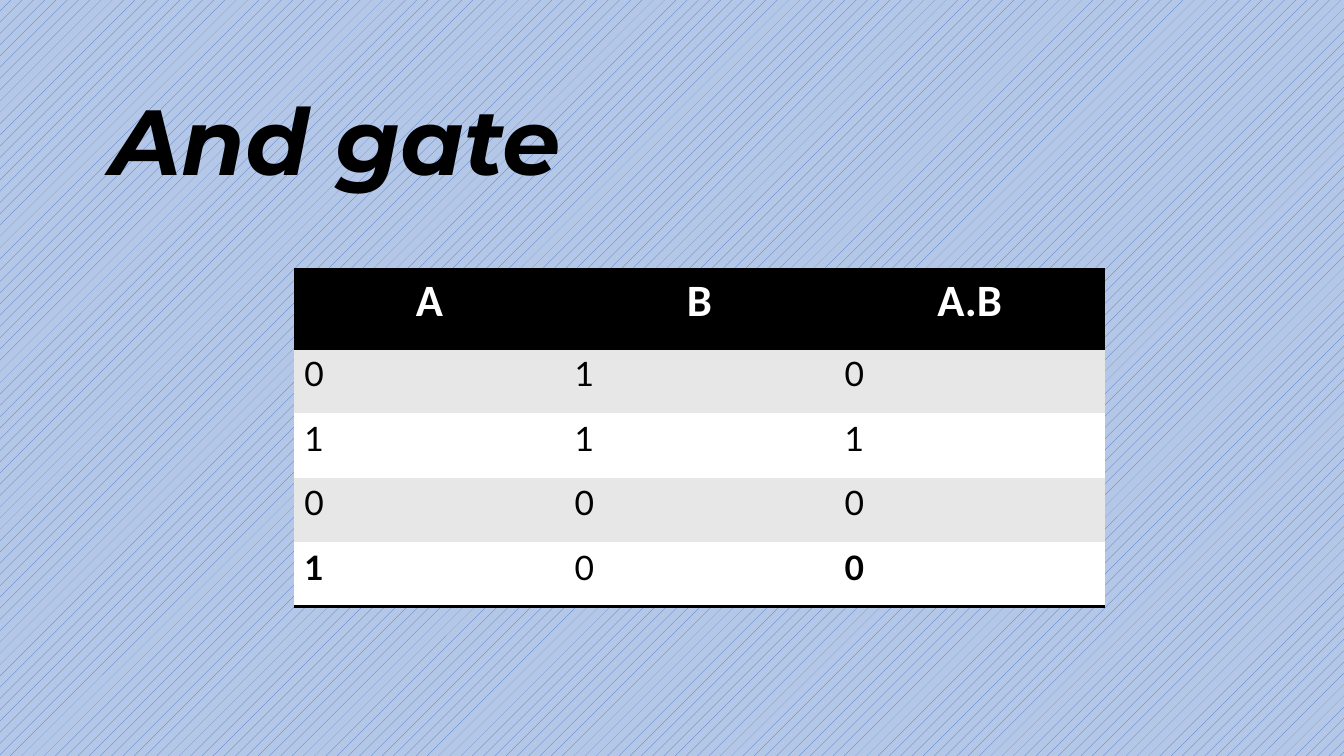
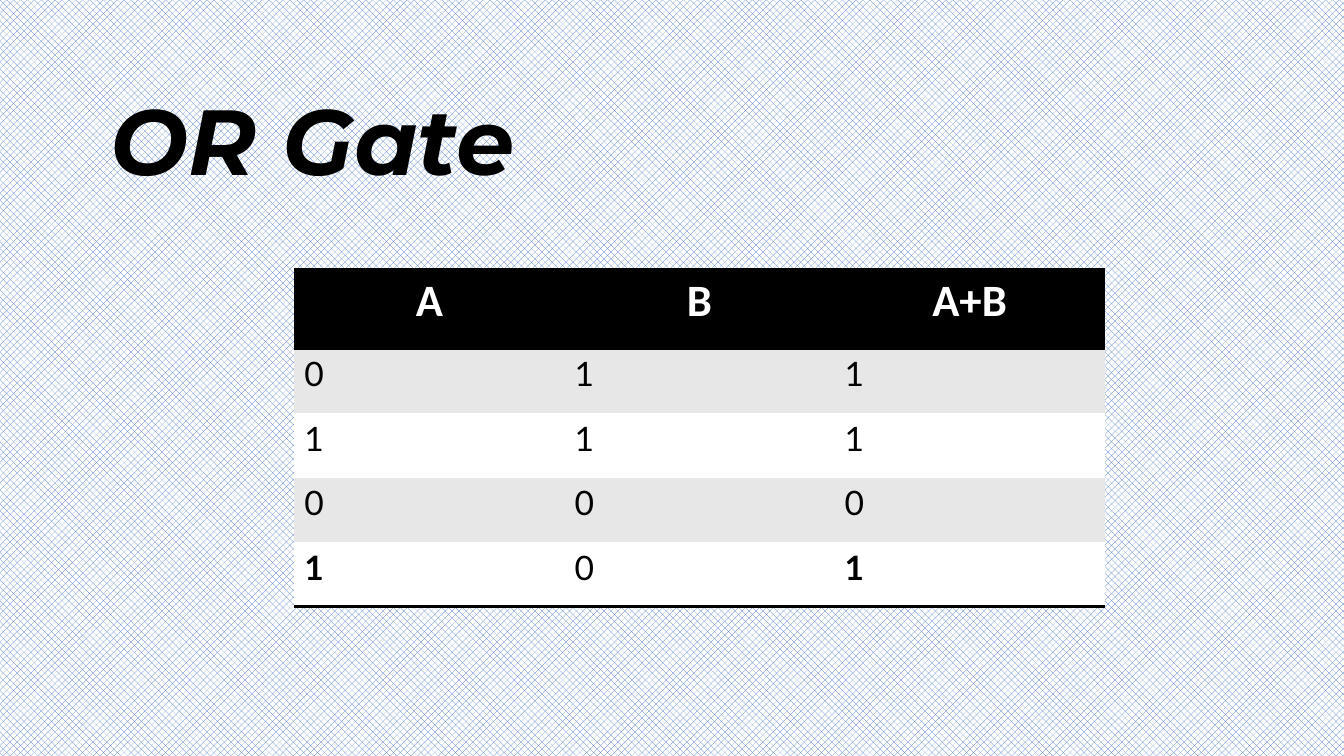
from dataclasses import dataclass

from lxml.etree import SubElement as Sub
from pptx import Presentation
from pptx.dml.color import RGBColor as Rgb
from pptx.enum.dml import MSO_PATTERN as Pat
from pptx.enum.text import MSO_ANCHOR as Anchor, MSO_AUTO_SIZE as Fit, PP_ALIGN as Align
from pptx.oxml.ns import qn
from pptx.util import Emu, Pt


# Colours, fonts and type sizes
@dataclass(frozen=True)
class Theme:
    ink: str = "000000"
    white: str = "FFFFFF"
    band: str = "E7E7E7"
    blue: str = "4472C4"
    pale: str = "B4C7E7"
    title: tuple = ("Montserrat", 66)
    head: tuple = ("Calibri", 32)
    body: tuple = ("Lato", 24)
    rule: int = 2


THEME = Theme()
PLAIN = "{2D5ABB26-0587-4C30-8999-92F81FD0307C}"  # table style without grid
HEAD, ROW, COL = 79, 64, 268

GATES = [
    ("And gate", Pat.PERCENT_10, THEME.pale,
     ["A", "B", "A.B"], ["010", "111", "000", "100"]),
    ("OR Gate", Pat.PERCENT_50, THEME.white,
     ["A", "B", "A+B"], ["011", "111", "000", "101"]),
]


def px(n):
    """One px is a hundredth of an inch."""
    return Emu(n * 9144)


def style(para, face, color, bold=False, italic=False, align=Align.LEFT):
    para.alignment = align
    for run in para.runs:
        font = run.font
        font.name, font.size = face[0], Pt(face[1])
        font.bold, font.italic = bold, italic
        font.color.rgb = Rgb.from_string(color)


# Patterned background
def paint(slide, pattern, back):
    fill = slide.background.fill
    fill.patterned()
    fill.pattern = pattern
    fill.fore_color.rgb = Rgb.from_string(THEME.blue)
    fill.back_color.rgb = Rgb.from_string(back)


# Slide title
def put_title(slide, text):
    title = slide.shapes.title
    title.left, title.top, title.width, title.height = map(px, (76, 77, 576, 121))
    frame = title.text_frame
    frame.text = text
    frame.auto_size = Fit.NONE
    frame.vertical_anchor = Anchor.TOP
    frame.margin_left = px(34)
    style(frame.paragraphs[0], THEME.title, THEME.ink, bold=True, italic=True)


# Table cells
def add_rules(cell, sides):
    props = cell._tc.get_or_add_tcPr()
    for i, side in enumerate(sides):
        line = Sub(props, qn(f"a:ln{side}"), w=str(Pt(THEME.rule)))
        Sub(Sub(line, qn("a:solidFill")), qn("a:srgbClr"), val=THEME.ink)
        props.insert(i, line)


def put_cell(cell, text, fill, sides, **look):
    cell.text = text
    cell.fill.solid()
    cell.fill.fore_color.rgb = Rgb.from_string(fill)
    style(cell.text_frame.paragraphs[0], **look)
    add_rules(cell, sides)


# Truth table
def put_table(slide, heads, rows):
    last = len(rows)
    shape = slide.shapes.add_table(last + 1, len(heads), px(292), px(267),
                                   px(COL * len(heads)), px(HEAD + ROW * last))
    table = shape.table
    table._tbl.tblPr.find(qn("a:tableStyleId")).text = PLAIN
    for col in table.columns:
        col.width = px(COL)
    for r, row in enumerate(table.rows):
        row.height = px(ROW if r else HEAD)

    for c, head in enumerate(heads):
        put_cell(table.cell(0, c), head, THEME.ink, "TB", face=THEME.head,
                 color=THEME.white, bold=True, align=Align.CENTER)
    for r, bits in enumerate(rows, 1):
        for c, bit in enumerate(bits):
            put_cell(table.cell(r, c), bit, THEME.band if r % 2 else THEME.white,
                     "B" if r == last else "", face=THEME.body, color=THEME.ink,
                     bold=r == last and c != 1)


def main():
    deck = Presentation()
    deck.slide_width, deck.slide_height = Emu(12192000), px(750)
    for name, pattern, back, heads, rows in GATES:
        slide = deck.slides.add_slide(deck.slide_layouts[5])
        paint(slide, pattern, back)
        put_table(slide, heads, rows)
        put_title(slide, name)
    deck.save("out.pptx")


if __name__ == "__main__":
    main()
